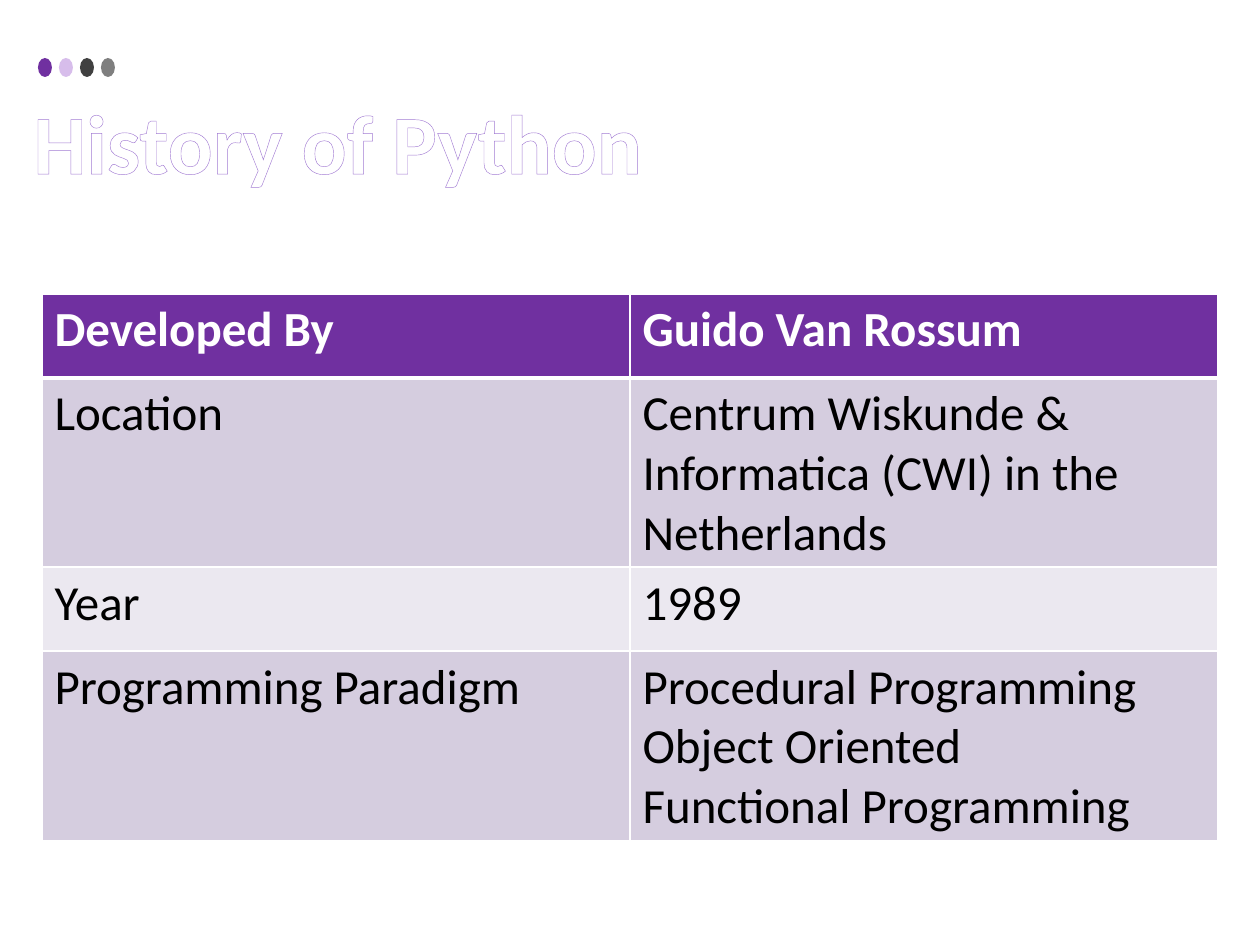
from typing import NamedTuple

from lxml import etree
from pptx import Presentation
from pptx.dml.color import RGBColor
from pptx.enum.shapes import MSO_SHAPE
from pptx.enum.text import MSO_AUTO_SIZE
from pptx.oxml.ns import qn
from pptx.util import Emu, Pt

OVAL = MSO_SHAPE.OVAL
GROW = MSO_AUTO_SIZE.SHAPE_TO_FIT_TEXT
FONT = "Calibri"
PURPLE, WHITE, BLACK = "7030A0", "FFFFFF", "000000"
EMU_PER_PX = 914400 / 126


class Dot(NamedTuple):
    color: str
    opacity: int = 100


class Fact(NamedTuple):
    label: str
    detail: str
    fill: str
    color: str = BLACK
    heading: bool = False


DOTS = [Dot(PURPLE), Dot("C7A2E3", 70), Dot("404040"), Dot("7F7F7F")]
FACTS = [
    Fact("Developed By", "Guido Van Rossum", PURPLE, WHITE, True),
    Fact("Location", "Centrum Wiskunde & Informatica (CWI) in the Netherlands", "D5CDDF"),
    Fact("Year ", "1989", "EBE8F0"),
    Fact("Programming Paradigm",
         "Procedural Programming\nObject Oriented\nFunctional Programming", "D5CDDF"),
]


def px(length: int) -> Emu:
    return Emu(round(length * EMU_PER_PX))


def rgb(color: str) -> RGBColor:
    return RGBColor.from_string(color)


def format_text(frame, size: int, color: str, bold: bool) -> None:
    for paragraph in frame.paragraphs:
        for run in paragraph.runs:
            run.font.name = FONT
            run.font.size = Pt(size)
            run.font.bold = bold
            run.font.color.rgb = rgb(color)


def add_line(parent, tag: str, color: str, width: float, index: int):
    line = etree.Element(qn(tag), w=str(Pt(width)))
    fill = etree.SubElement(line, qn("a:solidFill"))
    etree.SubElement(fill, qn("a:srgbClr"), val=color)
    parent.insert(index, line)


def draw_dot(slide, dot: Dot, left: int) -> None:
    oval = slide.shapes.add_shape(OVAL, px(left), px(58), px(14), px(19))
    oval.shadow.inherit = False
    oval.fill.solid()
    oval.fill.fore_color.rgb = rgb(dot.color)
    oval.line.fill.background()
    if dot.opacity < 100:
        color = oval.fill._xPr.find(".//" + qn("a:srgbClr"))
        etree.SubElement(color, qn("a:alpha"), val=str(dot.opacity * 1000))


def draw_title(slide, title: str) -> None:
    heading = slide.shapes.add_textbox(px(21), px(84), px(740), px(115)).text_frame
    heading.word_wrap = True
    heading.auto_size = GROW
    heading.text = title
    format_text(heading, 48, WHITE, True)
    properties = heading.paragraphs[0].runs[0].font._element
    add_line(properties, "a:ln", "A27BD3", 2.48, 0)


def fill_cell(cell, text: str, fact: Fact, after_heading: bool) -> None:
    cell.text_frame.text = text
    format_text(cell.text_frame, 28, fact.color, fact.heading)
    cell.fill.solid()
    cell.fill.fore_color.rgb = rgb(fact.fill)
    widths = {"L": 1, "R": 1, "T": 3 if after_heading else 1, "B": 3 if fact.heading else 1}
    for index, (side, width) in enumerate(widths.items()):
        add_line(cell._tc.get_or_add_tcPr(), f"a:ln{side}", WHITE, width, index)


def draw_facts(slide, facts: list[Fact]) -> None:
    table = slide.shapes.add_table(
        len(facts), 2, px(42), px(294), px(1176), px(84 * len(facts))).table
    for row, fact in enumerate(facts):
        for column, text in enumerate((fact.label, fact.detail)):
            fill_cell(table.cell(row, column), text, fact, row == 1)


deck = Presentation()
deck.slide_width, deck.slide_height = px(1260), px(945)
history = deck.slides.add_slide(deck.slide_layouts[6])
for position, dot in enumerate(DOTS):
    draw_dot(history, dot, 38 + 21 * position)
draw_title(history, "History of Python")
draw_facts(history, FACTS)
deck.save("out.pptx")
